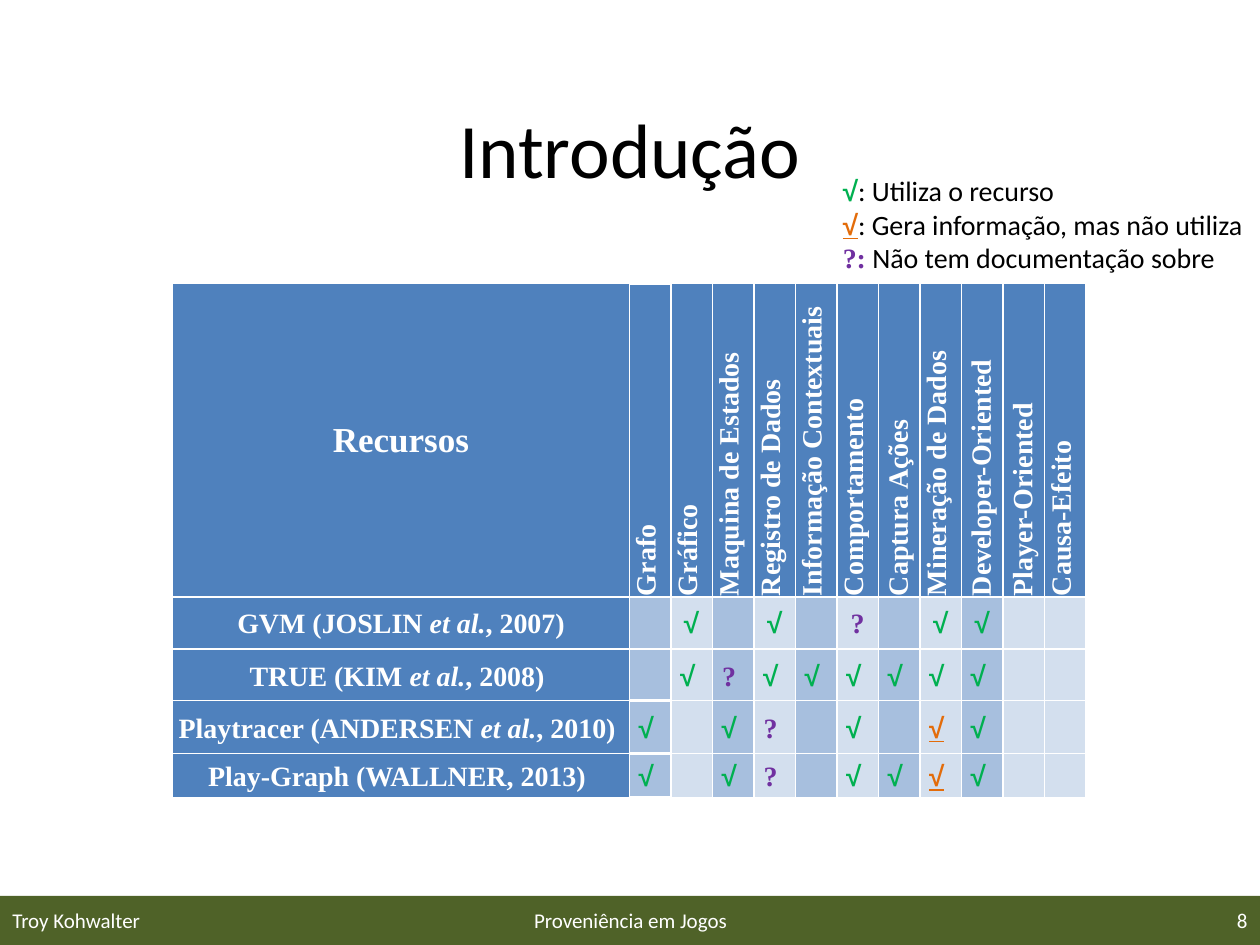
from lxml import etree
from pptx import Presentation
from pptx import util as u
from pptx.dml import color as col
from pptx.enum import shapes, text
from pptx.oxml import ns

SERIF, SANS, SIGN = "Times New Roman", "Calibri", "Arial"
WHITE, BLACK, BLUE = "FFFFFF", "000000", "4F81BD"
DARK, PALE, GREEN = "A7BFDE", "D3DFEE", "00B050"
ORANGE, PURPLE, OLIVE = "E36C0A", "7030A0", "4F6228"
MID, LEFT, RIGHT = text.PP_ALIGN.CENTER, text.PP_ALIGN.LEFT, text.PP_ALIGN.RIGHT


def hue(code):
    return col.RGBColor.from_string(code)


class Deck:
    cols, rows = 100, 75

    def __init__(self):
        self.prs = Presentation()
        self.prs.slide_width, self.prs.slide_height = u.Inches(10), u.Inches(7.5)
        self.slide = self.prs.slides.add_slide(self.prs.slide_layouts[6])

    def wide(self, n):
        return int(self.prs.slide_width * n / self.cols)

    def tall(self, n):
        return int(self.prs.slide_height * n / self.rows)

    def box(self, x, y, w, h):
        return self.wide(x), self.tall(y), self.wide(w), self.tall(h)

    def run(self, para, words, size=16, font=SERIF, color=WHITE,
            bold=False, slant=False, under=False):
        run = para.add_run()
        run.text = words
        face = run.font
        face.size, face.name = u.Pt(size), font
        face.bold, face.italic, face.underline = bold, slant, under
        face.color.rgb = hue(color)

    def bar(self, place, fill):
        bar = self.slide.shapes.add_shape(shapes.MSO_SHAPE.RECTANGLE, *self.box(*place))
        bar.shadow.inherit = False
        bar.fill.solid()
        bar.fill.fore_color.rgb = hue(fill)
        bar.line.fill.background()

    def label(self, place, lines, align=LEFT, anchor=text.MSO_ANCHOR.MIDDLE, wrap=True):
        frame = self.slide.shapes.add_textbox(*self.box(*place)).text_frame
        frame.word_wrap, frame.vertical_anchor = wrap, anchor
        for i, runs in enumerate(lines):
            para = frame.add_paragraph() if i else frame.paragraphs[0]
            para.alignment = align
            for words, style in runs:
                self.run(para, words, **style)

    def table(self, place, widths, heights):
        table = self.slide.shapes.add_table(
            len(heights), len(widths), *self.box(*place)).table
        for part, width in zip(table.columns, widths):
            part.width = self.wide(width)
        for part, height in zip(table.rows, heights):
            part.height = self.tall(height)
        return table

    def cell(self, cell, runs, fill, align=MID, turn=False, thick=False):
        cell.margin_left = cell.margin_right = cell.margin_top = u.Inches(0.01)
        cell.margin_bottom = 0
        cell.vertical_anchor = text.MSO_ANCHOR.MIDDLE
        cell.fill.solid()
        cell.fill.fore_color.rgb = hue(fill)
        para = cell.text_frame.paragraphs[0]
        para.alignment = align
        for words, style in runs:
            self.run(para, words, **style)
        props = cell._tc.get_or_add_tcPr()
        if turn:
            props.set("vert", "vert270")
        for i, side in enumerate("LRTB"):
            edge = etree.Element(ns.qn("a:ln" + side))
            edge.set("w", str(u.Pt(1.5 if thick and side in "TB" else 1)))
            paint = etree.SubElement(edge, ns.qn("a:solidFill"))
            etree.SubElement(paint, ns.qn("a:srgbClr")).set("val", WHITE)
            props.insert(i, edge)


BOLD = dict(bold=True)
TAIL = (" ", dict(size=18, color=BLACK))
BODY = dict(font=SANS, color=BLACK)
MARKS = {
    "v": ("√", dict(font=SIGN, color=GREEN, bold=True)),
    "u": ("√", dict(font=SIGN, color=ORANGE, bold=True, under=True)),
    "?": ("?", dict(color=PURPLE, bold=True)),
}
HEADS = ["Grafo", "Gráfico", "Maquina de Estados", "Registro de Dados",
         "Informação Contextuais", "Comportamento", "Captura Ações",
         "Mineração de Dados", "Developer-Oriented", "Player-Oriented", "Causa-Efeito"]
LOOSE = {"Captura Ações", "Developer-Oriented", "Player-Oriented"}
WORKS = [
    ("GVM (JOSLIN ", "et al.", ", 2007)", "-v-v-?-vv--"),
    ("TRUE (KIM ", "et al.", ", 2008)", "-v?vvvvvv--"),
    ("Playtracer (ANDERSEN ", "et al.", ", 2010)", "v-v?-v-uv--"),
    ("Play-Graph (WALLNER, 2013)", "", "", "v-v?-vvuv--"),
]


def main():
    deck = Deck()
    deck.bar((0, 71.1, 100, 3.9), OLIVE)
    deck.label((5, 5.5, 90, 12.5), [[("Introdução", dict(BODY, size=44))]], MID)
    foot = dict(size=12, font=SANS)
    for x, width, words, align in [(0, 23.3, "Troy Kohwalter", LEFT),
                                   (34.2, 31.7, "Proveniência em Jogos", MID),
                                   (76.7, 23.3, "8", RIGHT)]:
        deck.label((x, 71, width, 4), [[(words, foot)]], align)

    half = 36.25
    grid = deck.table((13.7, 22.5, 2 * half, 40.8),
                      [half] + [half / len(HEADS)] * len(HEADS),
                      [24.9, 4.1, 4.1, 4.2, 3.5])
    deck.cell(grid.cell(0, 0), [("Recursos", dict(BOLD, size=20))], BLUE)
    for c, head in enumerate(HEADS, 1):
        runs = [(head, BOLD)] + [TAIL] * (head in LOOSE)
        deck.cell(grid.cell(0, c), runs, BLUE, LEFT, True, c == 1)
    for r, (name, slant, year, marks) in enumerate(WORKS, 1):
        tail = [TAIL] * (r > 1)
        parts = [(name, BOLD), (slant, dict(BOLD, slant=True)), (year, BOLD)]
        deck.cell(grid.cell(r, 0), [p for p in parts if p[0]] + tail, BLUE)
        for c, mark in enumerate(marks, 1):
            runs = [MARKS[mark]] + tail if mark in MARKS else []
            fill = DARK if c % 2 and c < len(HEADS) else PALE
            deck.cell(grid.cell(r, c), runs, fill, thick=c == 1)

    deck.label((65.9, 13.3, 34.1, 9.1), [
        [MARKS["v"], (": Utiliza o recurso", BODY)],
        [MARKS["u"], (": Gera informação, mas não utiliza", BODY)],
        [("?:", MARKS["?"][1]), (" Não tem documentação sobre", BODY)],
    ], anchor=text.MSO_ANCHOR.TOP, wrap=False)
    deck.prs.save("out.pptx")


if __name__ == "__main__":
    main()
